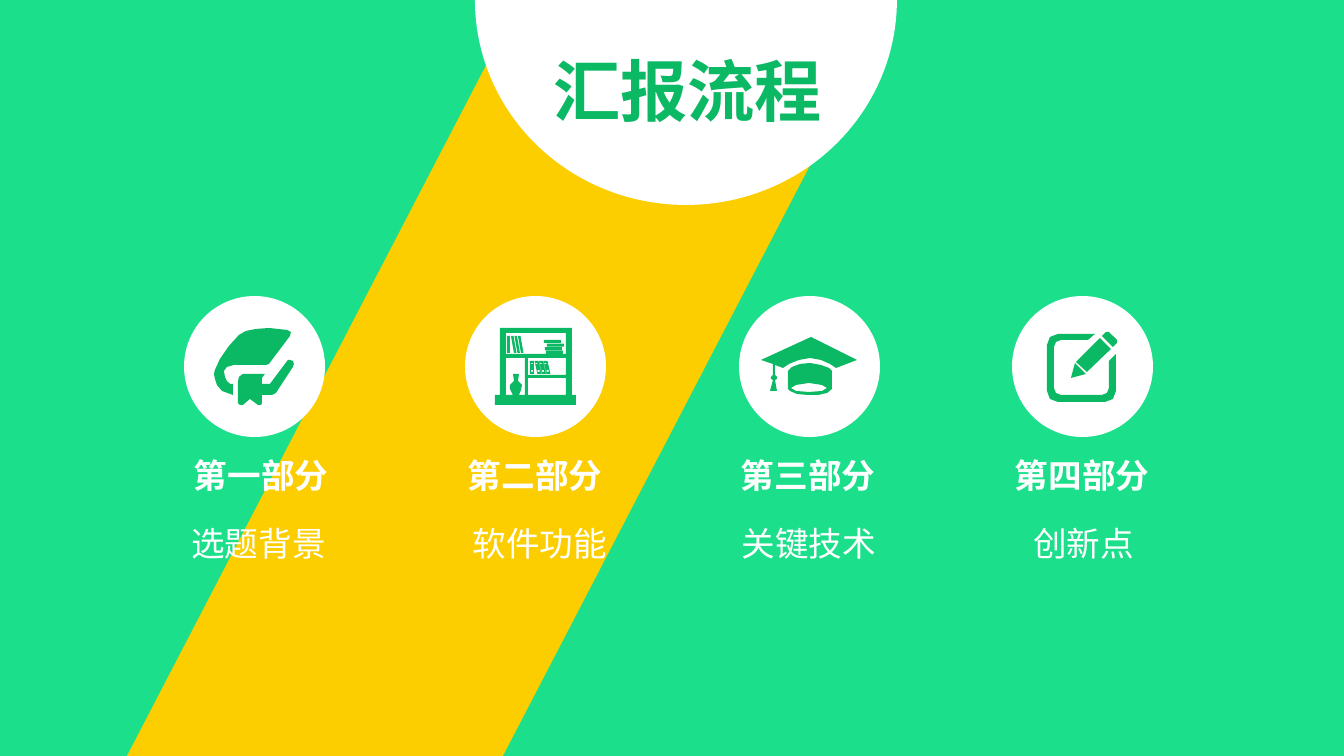
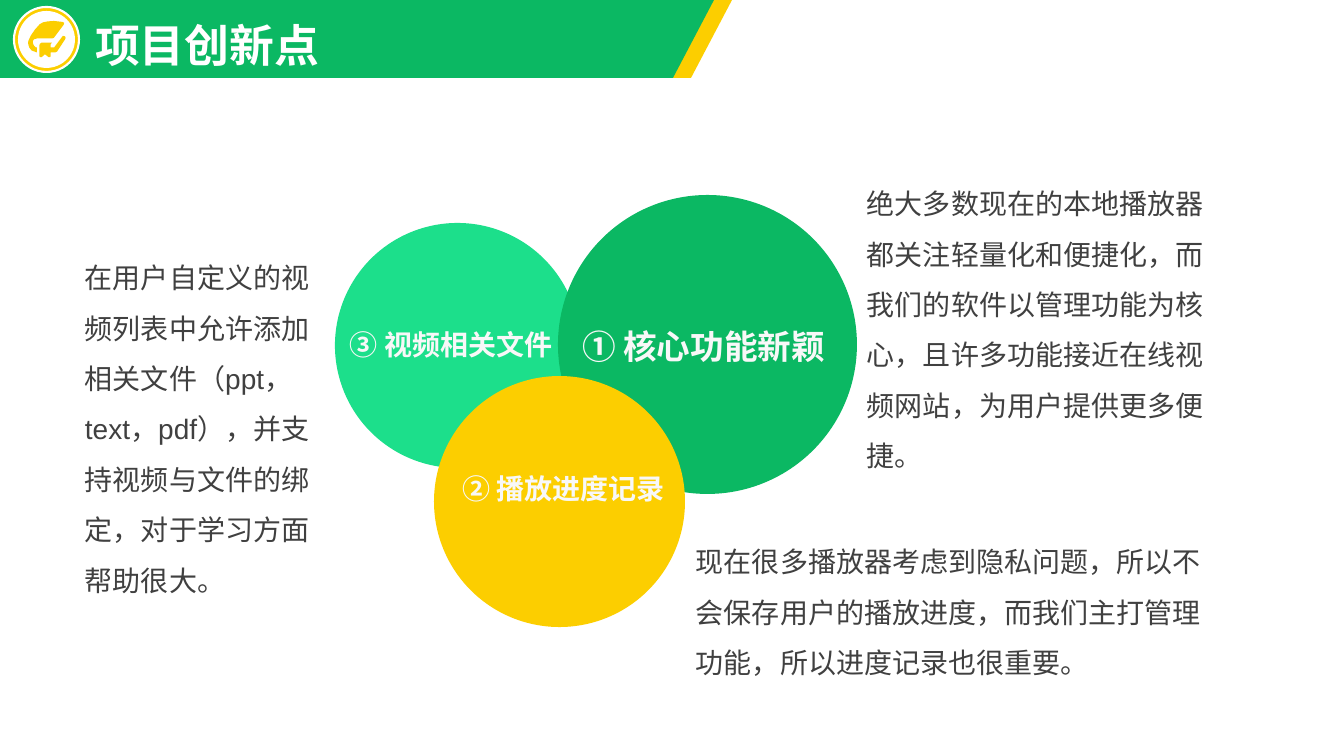
import math
import pptx
import pptx.util
import pptx.dml.color
import pptx.enum.shapes
import pptx.enum.text

PX = 914400 / 100.8
GREEN, MINT, YELLOW, WHITE = "0BB863", "1CDF8B", "FCCE00", "FFFFFF"
GREY, PALE = "404040", "F8F8F8"
FONT = "Arial"
SHAPE = pptx.enum.shapes.MSO_SHAPE
ALIGN = pptx.enum.text.PP_ALIGN


def draw(page, outline, fill, left=0, top=0, width=0, height=0, scale=1, line=None):
    """Draw a preset shape, or a freeform when outline is a list of contours."""
    if isinstance(outline, list):
        contours = [[((left + x * scale) * PX, (top + y * scale) * PX)
                     for x, y in contour] for contour in outline]
        builder = page.shapes.build_freeform(*contours[0][0])
        builder.add_line_segments(contours[0][1:])
        for contour in contours[1:]:
            builder.move_to(*contour[0])
            builder.add_line_segments(contour[1:])
        shape = builder.convert_to_shape()
    else:
        place = [round(v * PX) for v in (left, top, width, height)]
        shape = page.shapes.add_shape(outline, *place)
    shape.shadow.inherit = False
    shape.fill.solid()
    shape.fill.fore_color.rgb = pptx.dml.color.RGBColor.from_string(fill)
    if line:
        shape.line.color.rgb = pptx.dml.color.RGBColor.from_string(line)
        shape.line.width = pptx.util.Pt(1.5)
    else:
        shape.line.fill.background()
    return shape


def write(page, text, left, top, width, height, size=20, color=GREY, bold=False,
          align=ALIGN.LEFT, spacing=1.0, wrap=True, title=False):
    """Write text in a text box, or in the title placeholder brought to the front."""
    place = [round(v * PX) for v in (left, top, width, height)]
    if title:
        box = page.shapes.title
        box.left, box.top, box.width, box.height = place
        page.shapes.element.append(box.element)
    else:
        box = page.shapes.add_textbox(*place)
    frame = box.text_frame
    frame.word_wrap = wrap
    frame.auto_size = pptx.enum.text.MSO_AUTO_SIZE.NONE
    frame.vertical_anchor = pptx.enum.text.MSO_ANCHOR.TOP
    para = frame.paragraphs[0]
    para.alignment = align
    para.line_spacing = spacing
    span = para.add_run()
    span.text = text
    span.font.name = FONT
    span.font.size = pptx.util.Pt(size)
    span.font.bold = bold
    span.font.color.rgb = pptx.dml.color.RGBColor.from_string(color)


# Icon outlines, in pixels from the icon's top left corner
book = [
    [(74, 32), (76, 32), (79, 33), (80, 36), (79, 39), (62, 65), (58, 67), (48, 67),
     (48, 75), (47, 77), (44, 77), (36, 71), (29, 77), (26, 77), (24, 75), (24, 54),
     (25, 49), (29, 46), (51, 46), (48, 50), (48, 56), (56, 56)],
    [(55, 0), (73, 2), (77, 4), (76, 8), (55, 36), (52, 37), (20, 37), (13, 39),
     (10, 43), (11, 49), (13, 53), (16, 56), (19, 56), (19, 67), (8, 63), (3, 57),
     (1, 51), (0, 46), (1, 42), (6, 31), (15, 18), (25, 7), (32, 3), (42, 1)],
]
mortarboard = [
    [(75, 31), (69, 27), (60, 23), (49, 21), (38, 23), (28, 27), (22, 31), (14, 28),
     (14, 38), (16, 40), (16, 42), (14, 43), (16, 54), (9, 54), (12, 43), (10, 42),
     (10, 40), (12, 38), (12, 27), (0, 23), (50, 0), (96, 23)],
    [(49, 26), (60, 28), (68, 31), (71, 34), (71, 52), (66, 56), (57, 58), (47, 58),
     (36, 57), (29, 54), (27, 52), (27, 34), (31, 30), (39, 27)],
    [(30, 51), (35, 48), (48, 46), (61, 48), (66, 51), (61, 54), (48, 55), (35, 54)],
]
pencil = [
    [(70, 11), (66, 15), (55, 4), (59, 0), (62, 0), (70, 8)],
    [(40, 40), (29, 30), (53, 6), (64, 17)],
    [(39, 42), (24, 46), (28, 31)],
    [(14, 8), (9, 10), (7, 15), (7, 56), (9, 61), (14, 63), (55, 63), (60, 61),
     (62, 56), (62, 29), (69, 22), (69, 59), (66, 67), (58, 70), (11, 70), (3, 67),
     (0, 59), (0, 13), (3, 5), (11, 2), (48, 2), (41, 8)],
]
# Bookshelf: quads are left, top, right, bottom, lean
quads = [(11, 5, 71, 26, 0), (11, 30, 30, 67, 0), (33, 30, 71, 47, 0),
         (33, 50, 71, 67, 0), (12, 8, 15, 25, 0)]
quads += [(x, 8, x + 2.5, 25, 3) for x in (16, 19.5, 23)]
quads += [(x, 12 + 3.6 * row, x + 17, 15 + 3.6 * row, 0)
          for row, x in enumerate((49, 52, 50, 51))]
for x, lean in ((35, 0), (39.5, 3), (44, 3), (48.5, 3)):
    quads += [(x, 33, x + 4, 46, lean), (x + 1, 35, x + 3, 36, 0),
              (x + 1 + 0.7 * lean, 42, x + 3 + 0.7 * lean, 44, 0)]
bookshelf = [
    [(5, 0), (77, 0), (77, 67), (81, 67), (81, 77), (0, 77), (0, 67), (5, 67)],
    [(18, 46), (24, 46), (23, 53), (27, 57), (26, 62), (24, 67), (18, 67), (15, 61),
     (15, 57), (19, 53)],
]
bookshelf += [[(l, t), (r, t), (r + lean, b), (l + lean, b)] for l, t, r, b, lean in quads]

deck = pptx.Presentation()
deck.slide_width, deck.slide_height = round(1344 * PX), round(756 * PX)
title_only = deck.slide_layouts[5]

# Slide 1: agenda
page = deck.slides.add_slide(title_only)
draw(page, SHAPE.RECTANGLE, MINT, 0, 0, 1344, 756)
stripe = draw(page, SHAPE.PARALLELOGRAM, YELLOW, 127, 0, 769, 756)
stripe.adjustments[0] = 0.52
half_disc = [(211 * math.cos(math.radians(a)), 205 * math.sin(math.radians(a)))
             for a in range(0, 181, 2)]
draw(page, [half_disc], WHITE, 686, 0)

# Part: disc left, icon, icon left and top, label and left, caption, left and width
parts = [
    (184, book, 214, 328, "第一部分", 184, "选题背景", 144, 229),
    (465, bookshelf, 495, 328, "第二部分", 458, "软件功能", 421, 238),
    (739, mortarboard, 761, 337, "第三部分", 731, "关键技术", 690, 238),
    (1012, pencil, 1047, 332, "第四部分", 1005, "创新点", 957, 253),
]
for disc_x, icon, icon_x, icon_y, label, label_x, caption, caption_x, caption_w in parts:
    draw(page, SHAPE.OVAL, WHITE, disc_x, 296, 141, 141)
    draw(page, icon, GREEN, icon_x, icon_y)
    write(page, label, label_x, 450, 156, 50, size=24, color=WHITE, bold=True, wrap=False)
    write(page, caption, caption_x, 498, caption_w, 63, size=24, color=WHITE,
          align=ALIGN.CENTER, spacing=1.5)
write(page, "汇报流程", 543, 44, 291, 92, size=48, color=GREEN, bold=True,
      wrap=False, title=True)

# Slide 2: header band with badge
page = deck.slides.add_slide(title_only)
band = [[(0, 0), (714, 0), (673, 78), (0, 78)]]
for left, color in ((18, YELLOW), (0, GREEN)):
    draw(page, band, color, left)
write(page, "项目创新点", 85, -14, 629, 82, size=32, color=WHITE, bold=True,
      spacing=1.5, title=True)
draw(page, SHAPE.OVAL, YELLOW, 14, 7, 65, 65, line=WHITE)
draw(page, SHAPE.OVAL, WHITE, 18, 11, 57, 57)
draw(page, book, YELLOW, 28, 21, scale=0.47)

# Overlapping circles and their labels
for color, left, top, size in ((MINT, 335, 223, 245), (GREEN, 558, 195, 299),
                               (YELLOW, 434, 376, 251)):
    draw(page, SHAPE.OVAL, color, left, top, size, size)
for text, left, top, width, height, size, align in (
        ("② 播放进度记录", 441, 467, 245, 44, 20, ALIGN.CENTER),
        ("③ 视频相关文件", 340, 323, 236, 44, 20, ALIGN.LEFT),
        ("① 核心功能新颖", 536, 321, 299, 50, 24, ALIGN.RIGHT)):
    write(page, text, left, top, width, height, size=size, color=PALE, bold=True, align=align)

# Explanations
for text, left, top, width, height in (
        ("现在很多播放器考虑到隐私问题，所以不会保存用户的播放进度，而我们主打管理功能，"
         "所以进度记录也很重要。", 686, 523, 535, 163),
        ("在用户自定义的视频列表中允许添加相关文件（ppt，text，pdf），并支持视频与文件的绑定，"
         "对于学习方面帮助很大。", 75, 239, 266, 367),
        ("绝大多数现在的本地播放器都关注轻量化和便捷化，而我们的软件以管理功能为核心，"
         "且许多功能接近在线视频网站，为用户提供更多便捷。", 857, 165, 380, 316)):
    write(page, text, left, top, width, height, spacing=1.5)

deck.save("out.pptx")
